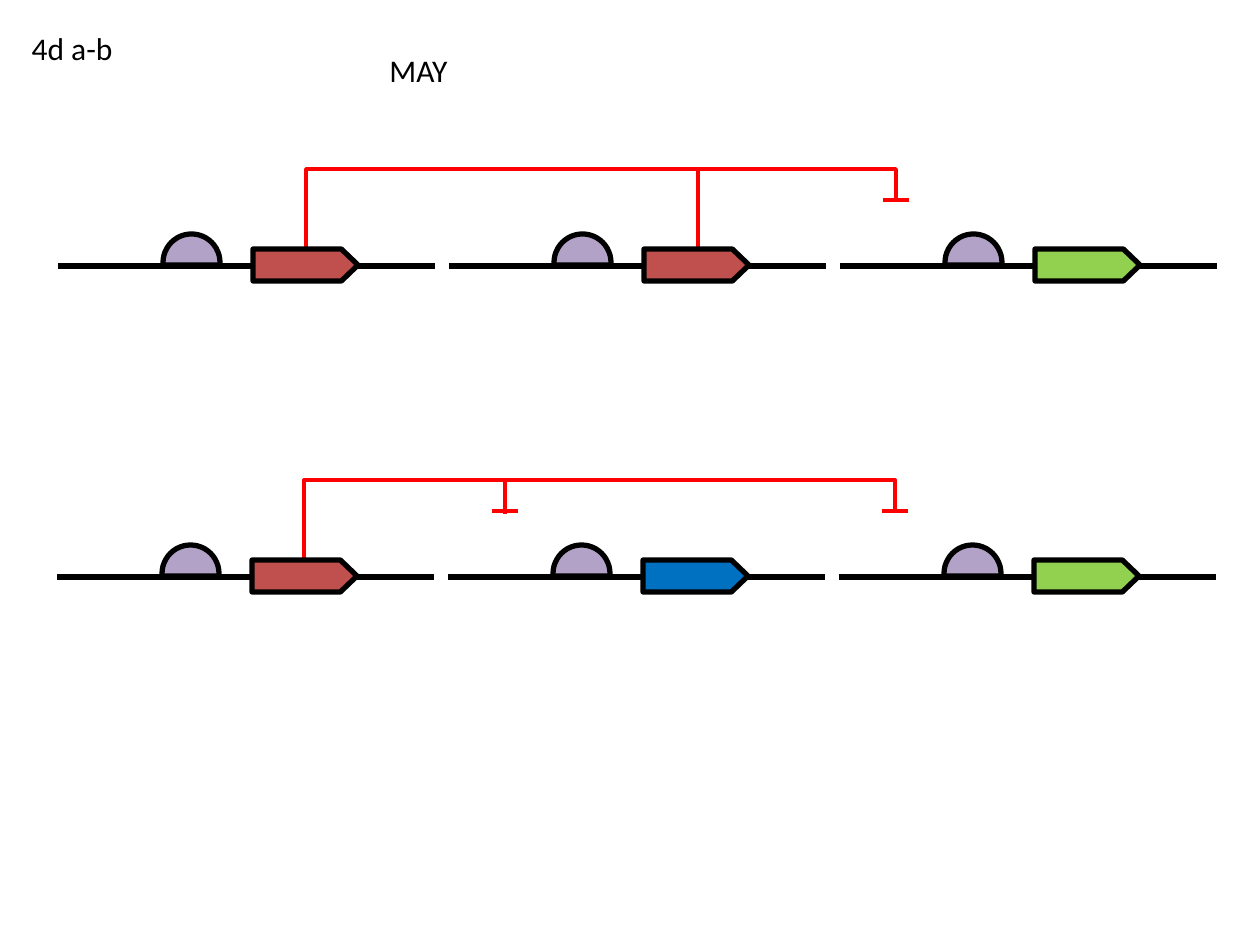
from collections import namedtuple
from dataclasses import dataclass

from lxml.etree import SubElement
from pptx import Presentation
from pptx.dml.color import RGBColor
from pptx.enum.shapes import MSO_CONNECTOR, MSO_SHAPE
from pptx.enum.text import MSO_ANCHOR, MSO_AUTO_SIZE, PP_ALIGN
from pptx.oxml.ns import qn
from pptx.util import Inches, Pt

PX_PER_INCH = 126
Box = namedtuple("Box", "left top width height")


@dataclass(frozen=True)
class Theme:
    font: str = "Calibri"
    text_size: int = 18
    ink: str = "000000"
    repression: str = "FF0000"
    promoter: str = "B3A2C7"
    repressor: str = "C0504D"
    blue_gene: str = "0070C0"
    green_gene: str = "92D050"
    strand_width: int = 3
    repression_width: int = 2


THEME = Theme()
UNIT_PITCH = 391
UNIT_WIDTH = 377


def px(length):
    return Inches(length / PX_PER_INCH)


def style_line(line, color, width):
    line.color.rgb = RGBColor.from_string(color)
    line.width = Pt(width)


def add_line(shapes, begin, end, color, width, kind=MSO_CONNECTOR.STRAIGHT):
    line = shapes.add_connector(kind, *map(px, begin + end))
    style_line(line.line, color, width)
    SubElement(line._element.spPr, qn("a:effectLst"))
    return line


def add_red_line(shapes, begin, end):
    add_line(shapes, begin, end, THEME.repression, THEME.repression_width)


def add_elbow(shapes, begin, end, preset, bends):
    """Elbow connector whose bends are fractions of its width and height."""
    elbow = add_line(shapes, begin, end, THEME.repression,
                     THEME.repression_width, MSO_CONNECTOR.ELBOW)
    geometry = elbow._element.spPr.find(qn("a:prstGeom"))
    geometry.set("prst", preset)
    guides = geometry.find(qn("a:avLst"))
    if guides is None:
        guides = SubElement(geometry, qn("a:avLst"))
    for number, bend in enumerate(bends, 1):
        SubElement(guides, qn("a:gd"), name=f"adj{number}",
                   fmla=f"val {round(bend * 100000)}")


def add_part(shapes, kind, box, fill, adjustments):
    part = shapes.add_shape(kind, *map(px, box))
    part.shadow.inherit = False
    part.fill.solid()
    part.fill.fore_color.rgb = RGBColor.from_string(fill)
    style_line(part.line, THEME.ink, THEME.strand_width)
    for index, value in enumerate(adjustments):
        part.adjustments[index] = value


def add_unit(shapes, box, gene_color):
    """One strand with its gene arrow and promoter dome."""
    left, top = box.left, box.top
    add_line(shapes, (left, top + 32), (left + box.width, top + 32),
             THEME.ink, THEME.strand_width)
    add_part(shapes, MSO_SHAPE.RIGHT_ARROW, Box(left + 195, top + 15, 105, 32),
             gene_color, (1, 0.52))
    add_part(shapes, MSO_SHAPE.CHORD, Box(left + 105, top, 57, 57),
             THEME.promoter, (105.06, 3.02))


def add_gene_row(page, box, gene_colors):
    row = page.shapes.add_group_shape()
    for index, color in enumerate(gene_colors):
        unit = Box(box.left + index * UNIT_PITCH, box.top, UNIT_WIDTH, box.height)
        add_unit(row.shapes, unit, color)


def add_cap(shapes, center, y):
    add_red_line(shapes, (center - 13, y), (center + 13, y))


def add_bracket(shapes, box, start):
    """Rise from a gene at start, run along the top and drop to a capped end."""
    bottom, drop = box.top + box.height, box.top + 31
    right = box.left + box.width
    add_elbow(shapes, (start, bottom), (right, drop), "bentConnector4",
              (0, box.height / (bottom - drop)))
    add_cap(shapes, right, drop)


def add_joint_repression(page, box):
    """Two genes share one bar that represses the third unit."""
    second_gene = box.left + UNIT_PITCH + 1
    right = box.left + box.width
    bracket = Box(second_gene, box.top, right - second_gene, box.height)
    add_bracket(page.shapes, bracket, second_gene)
    add_elbow(page.shapes, (box.left, box.top + box.height),
              (second_gene, box.top), "bentConnector3", (0,))


def add_split_repression(page, box):
    """One gene represses both units to its right."""
    add_bracket(page.shapes, box, box.left)
    branch = box.left + 201
    add_red_line(page.shapes, (branch, box.top), (branch, box.top + 34))
    add_cap(page.shapes, branch, box.top + 31)


def write_label(holder, box, text):
    holder.left, holder.top, holder.width, holder.height = map(px, box)
    frame = holder.text_frame
    frame.text = text
    frame.word_wrap = False
    frame.auto_size = MSO_AUTO_SIZE.NONE
    frame.vertical_anchor = MSO_ANCHOR.TOP
    para = frame.paragraphs[0]
    para.alignment = PP_ALIGN.LEFT
    para.font.name = THEME.font
    para.font.size = Pt(THEME.text_size)
    para.font.color.rgb = RGBColor.from_string(THEME.ink)


def main():
    deck = Presentation()
    deck.slide_width, deck.slide_height = Inches(10), Inches(7.5)
    page = deck.slides.add_slide(deck.slide_layouts[5])

    # Labels
    write_label(page.shapes.title, Box(19, 23, 107, 51), "4d a-b")
    month_box = Box(377, 45, 87, 51)
    write_label(page.shapes.add_textbox(*map(px, month_box)), month_box, "MAY")

    # Upper circuit: two repressors act on one gene
    add_joint_repression(page, Box(306, 169, 590, 79))
    add_gene_row(page, Box(58, 234, 1159, 57),
                 (THEME.repressor, THEME.repressor, THEME.green_gene))

    # Lower circuit: one repressor acts on two genes
    add_split_repression(page, Box(304, 480, 591, 79))
    add_gene_row(page, Box(57, 545, 1159, 57),
                 (THEME.repressor, THEME.blue_gene, THEME.green_gene))

    deck.save("out.pptx")


if __name__ == "__main__":
    main()
